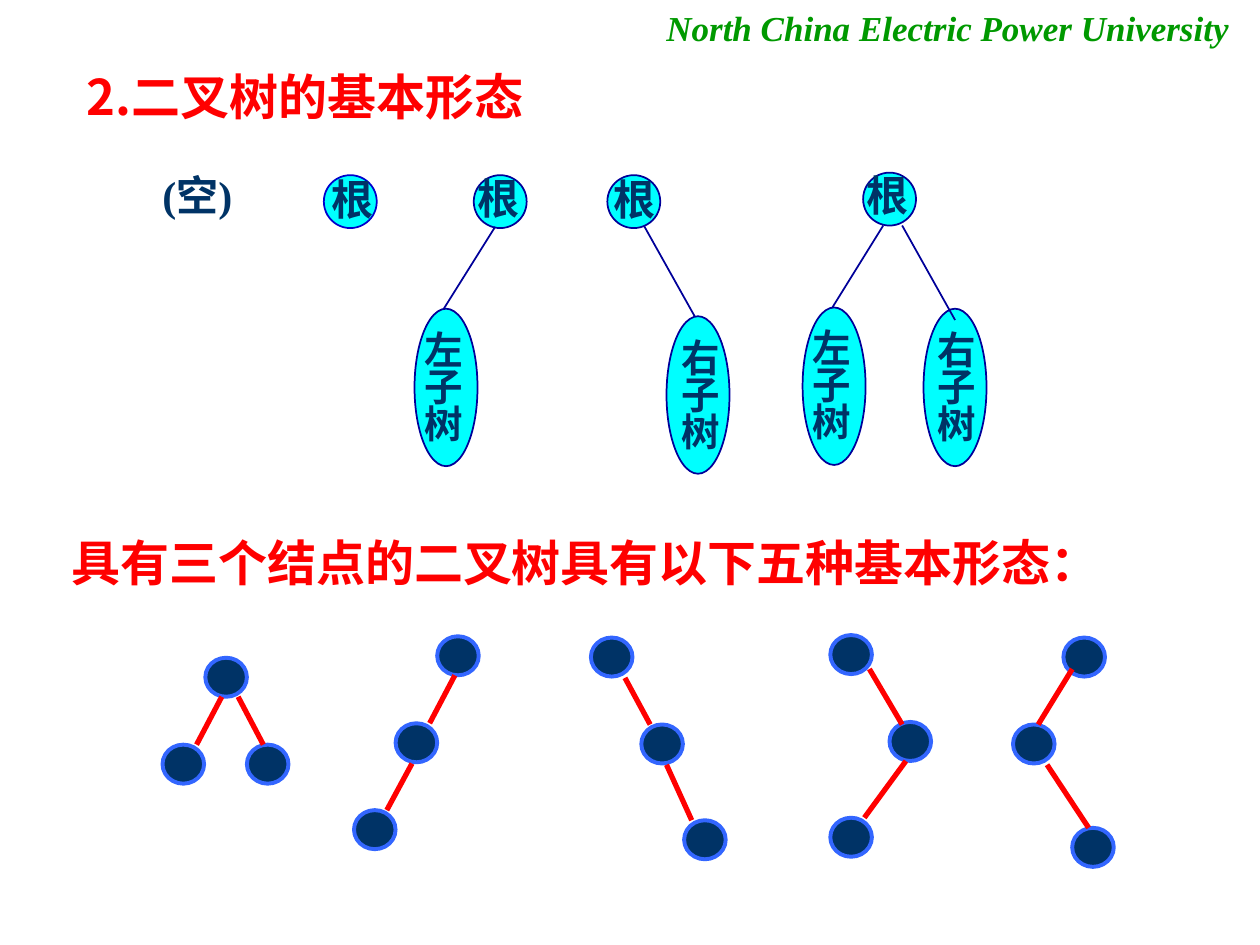
"""Build a slide on the basic forms of a binary tree."""
from dataclasses import dataclass
from typing import Any

import lxml.etree
import pptx
import pptx.dml.color
import pptx.enum.shapes
import pptx.enum.text
import pptx.oxml.ns
import pptx.util

Point = tuple[float, float]
Inches = pptx.util.Inches

NAVY, RED, GREEN = "003366", "FF0000", "009900"
CYAN, OUTLINE, NODE_RING = "00FFFF", "000099", "3366FF"
SERIF, SANS = "Times New Roman", "Noto Sans CJK SC"
ROOT_SIZE, SUBTREE_SIZE, NODE_SIZE = (0.42, 0.42), (0.5, 1.25), (0.33, 0.31)
ROOT_LABEL_SIZE, SUBTREE_LABEL_SIZE = (0.53, 0.5), (0.5, 0.98)


@dataclass
class Edge:
    start: Point
    end: Point


@dataclass
class Subtree:
    name: str
    position: Point
    label_position: Point
    edge: Edge
    edge_in_front: bool = False


@dataclass
class RootedTree:
    root: Point
    label_position: Point
    subtrees: list[Subtree]
    outline: str = OUTLINE


@dataclass
class NodeTree:
    nodes: list[Point]
    edges: list[Edge]


ROOTED_TREES = [
    RootedTree((2.57, 1.39), (2.53, 1.33), [], "0000CC"),
    RootedTree((3.76, 1.39), (3.69, 1.32), [
        Subtree("左子树", (3.29, 2.45), (3.27, 2.61), Edge((3.51, 2.47), (3.93, 1.8))),
    ]),
    RootedTree((4.82, 1.39), (4.77, 1.33), [
        Subtree("右子树", (5.29, 2.51), (5.31, 2.67), Edge((5.11, 1.79), (5.53, 2.54))),
    ]),
    RootedTree((6.85, 1.37), (6.78, 1.3), [
        Subtree("左子树", (6.37, 2.44), (6.35, 2.59), Edge((6.6, 2.45), (7.01, 1.79))),
        Subtree("右子树", (7.33, 2.45), (7.34, 2.61), Edge((7.16, 1.79), (7.58, 2.54)), True),
    ]),
]

NODE_TREES = [
    NodeTree([(1.63, 5.22), (1.29, 5.91), (1.96, 5.91)],
             [Edge((1.56, 5.91), (1.76, 5.53)), Edge((1.89, 5.53), (2.09, 5.91))]),
    NodeTree([(3.47, 5.05), (3.14, 5.74), (2.81, 6.43)],
             [Edge((3.41, 5.74), (3.61, 5.36)), Edge((3.07, 6.43), (3.27, 6.06))]),
    NodeTree([(4.69, 5.06), (5.09, 5.75), (5.43, 6.51)],
             [Edge((4.96, 5.38), (5.16, 5.75)), Edge((5.29, 6.07), (5.49, 6.51))]),
    NodeTree([(6.59, 5.04), (7.06, 5.73), (6.59, 6.49)],
             [Edge((6.9, 5.31), (7.16, 5.75)), Edge((6.86, 6.49), (7.19, 6.04))]),
    NodeTree([(8.44, 5.06), (8.04, 5.75), (8.51, 6.57)],
             [Edge((8.24, 5.75), (8.51, 5.31)), Edge((8.31, 6.07), (8.64, 6.57))]),
]


def color(value: str) -> pptx.dml.color.RGBColor:
    return pptx.dml.color.RGBColor.from_string(value)


def write_text(shape: Any, lines: list[str], size: float, text_color: str = NAVY,
               font_name: str = SERIF, italic: bool = False,
               line_spacing: float = 1.0) -> None:
    frame = shape.text_frame
    frame.word_wrap = False
    frame.auto_size = pptx.enum.text.MSO_AUTO_SIZE.SHAPE_TO_FIT_TEXT
    frame.vertical_anchor = pptx.enum.text.MSO_ANCHOR.TOP
    for index, line in enumerate(lines):
        paragraph = frame.add_paragraph() if index else frame.paragraphs[0]
        paragraph.alignment = pptx.enum.text.PP_ALIGN.LEFT
        paragraph.line_spacing = line_spacing
        paragraph.space_before = pptx.util.Pt(0)
        run = paragraph.add_run()
        run.text = line
        run.font.name = font_name
        run.font.size = pptx.util.Pt(size)
        run.font.bold = True
        run.font.italic = italic
        run.font.color.rgb = color(text_color)
        east_asian = lxml.etree.SubElement(
            run._r.get_or_add_rPr(), pptx.oxml.ns.qn("a:ea"))
        east_asian.set("typeface", SANS)


def add_text(shapes: Any, position: Point, extent: Point, lines: list[str],
             size: float, **style: Any) -> None:
    box = shapes.add_textbox(*map(Inches, position + extent))
    write_text(box, lines, size, **style)


def add_ellipse(shapes: Any, position: Point, extent: Point, fill: str,
                outline: str, width: float) -> None:
    shape = shapes.add_shape(
        pptx.enum.shapes.MSO_SHAPE.OVAL, *map(Inches, position + extent))
    shape.shadow.inherit = False
    shape.fill.solid()
    shape.fill.fore_color.rgb = color(fill)
    shape.line.color.rgb = color(outline)
    shape.line.width = pptx.util.Pt(width)


def add_edge(shapes: Any, edge: Edge, line_color: str, width: float) -> None:
    connector = shapes.add_connector(
        pptx.enum.shapes.MSO_CONNECTOR.STRAIGHT, *map(Inches, edge.start + edge.end))
    connector.line.color.rgb = color(line_color)
    connector.line.width = pptx.util.Pt(width)
    lxml.etree.SubElement(
        connector._element.spPr, pptx.oxml.ns.qn("a:effectLst"))


def add_subtree(shapes: Any, subtree: Subtree) -> None:
    if not subtree.edge_in_front:
        add_edge(shapes, subtree.edge, OUTLINE, 1)
    add_ellipse(shapes, subtree.position, SUBTREE_SIZE, CYAN, OUTLINE, 1)
    if subtree.edge_in_front:
        add_edge(shapes, subtree.edge, OUTLINE, 1)
    add_text(shapes, subtree.label_position, SUBTREE_LABEL_SIZE,
             list(subtree.name), 22, line_spacing=0.8)


def add_rooted_tree(slide: Any, tree: RootedTree) -> None:
    shapes = slide.shapes.add_group_shape().shapes
    add_ellipse(shapes, tree.root, ROOT_SIZE, CYAN, tree.outline, 1)
    for subtree in tree.subtrees:
        add_subtree(shapes, subtree)
    add_text(shapes, tree.label_position, ROOT_LABEL_SIZE, ["根"], 24)


def add_node_tree(slide: Any, tree: NodeTree) -> None:
    shapes = slide.shapes.add_group_shape().shapes
    for node in tree.nodes:
        add_ellipse(shapes, node, NODE_SIZE, NAVY, NODE_RING, 2.25)
    for edge in tree.edges:
        add_edge(shapes, edge, RED, 3)


def main() -> None:
    presentation = pptx.Presentation()
    presentation.slide_width, presentation.slide_height = Inches(10), Inches(7.5)
    slide = presentation.slides.add_slide(presentation.slide_layouts[5])

    title = slide.shapes.title
    title.left, title.top, title.width, title.height = map(Inches, (0.59, 0.48, 3.99, 0.57))
    write_text(title, ["2.二叉树的基本形态"], 28, RED, SANS)

    add_text(slide.shapes, (1.19, 1.3), (0.96, 0.5), ["(空)"], 24)
    for tree in ROOTED_TREES:
        add_rooted_tree(slide, tree)

    add_text(slide.shapes, (0.47, 4.18), (8.35, 0.57),
             ["具有三个结点的二叉树具有以下五种基本形态："], 28, text_color=RED)
    for tree in NODE_TREES:
        add_node_tree(slide, tree)

    add_text(slide.shapes, (5.19, 0), (4.67, 0.44),
             ["North China Electric Power University"], 20, text_color=GREEN, italic=True)
    presentation.save("out.pptx")


if __name__ == "__main__":
    main()
